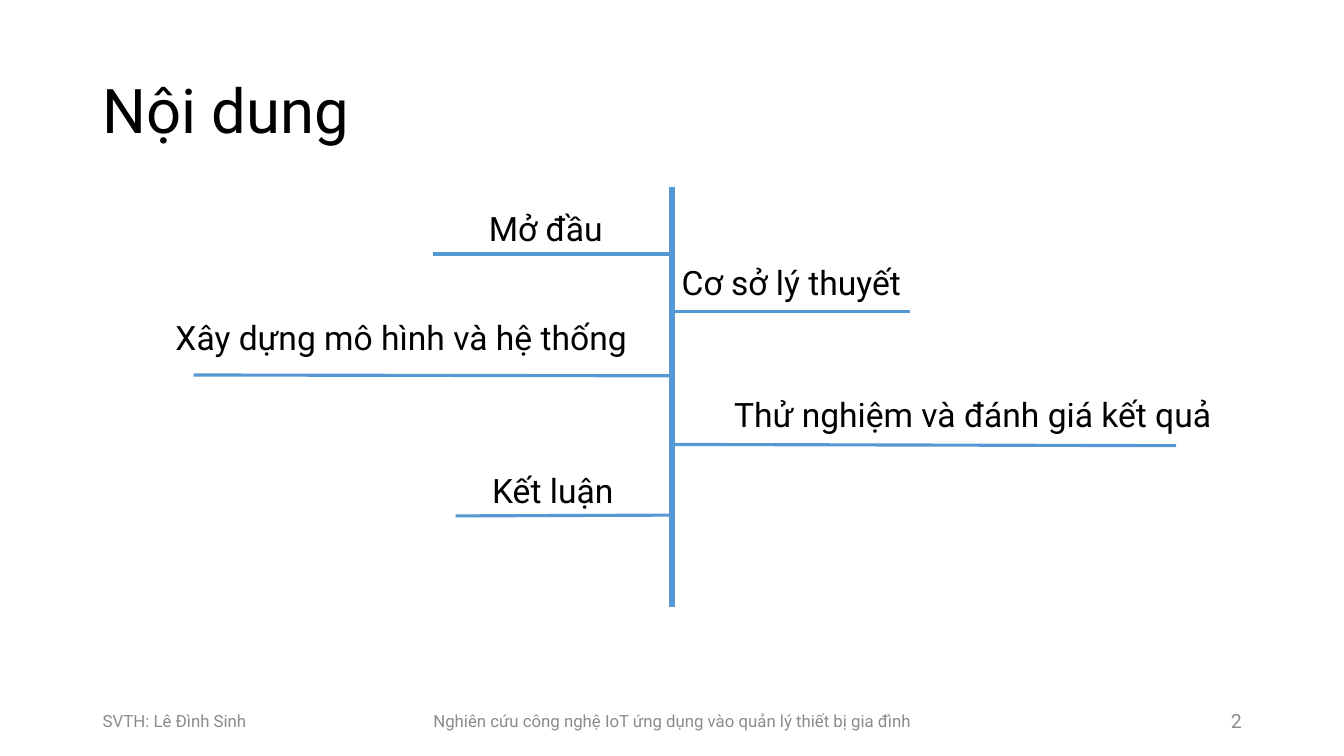
from lxml.etree import SubElement
from pptx import Presentation
from pptx.dml.color import RGBColor
from pptx.enum.shapes import MSO_CONNECTOR as Connector
from pptx.enum.text import MSO_ANCHOR as Anchor, PP_ALIGN as Align
from pptx.oxml.ns import qn
from pptx.util import Cm, Pt

BLACK = RGBColor(0x00, 0x00, 0x00)
GRAY = RGBColor(0x8B, 0x8B, 0x8B)
BLUE = RGBColor(0x56, 0x98, 0xD3)

MARGIN = 2.34
TRUNK_X = 16.93
LABEL_HEIGHT = 1.28

# label, box left, top, width, alignment, branch tip x, y at trunk, y at tip
BRANCHES = [
    ("Mở đầu", 12.07, 5.11, 3.71, Align.LEFT, 10.92, 6.4, 6.4),
    ("Cơ sở lý thuyết", TRUNK_X, 6.48, 7.62, Align.LEFT, 22.94, 7.85, 7.85),
    ("Xây dựng mô hình và hệ thống", 3.2, 7.85, 13.82, Align.CENTER, 4.88, 9.47, 9.45),
    ("Thử nghiệm và đánh giá kết quả", 17.02, 9.8, 14.99, Align.CENTER, 29.64, 11.2, 11.23),
    ("Kết luận", 7.44, 11.71, 12.98, Align.CENTER, 11.48, 12.98, 13.0),
]

# text, width, alignment, size; placed side by side from the margin
FOOTERS = [
    ("SVTH: Lê Đình Sinh", 7.62, Align.LEFT, 12),
    ("Nghiên cứu công nghệ IoT ứng dụng vào quản lý thiết bị gia đình",
     13.97, Align.CENTER, 12),
    ("2", 7.62, Align.RIGHT, 14),
]


class OutlinePage:
    font_name = "Roboto"

    def __init__(self, deck):
        self.page = deck.slides.add_slide(deck.slide_layouts[6])

    def text(self, words, left, top, width, height, size, color=BLACK,
             align=Align.LEFT, anchor=Anchor.TOP, spacing=None):
        box = self.page.shapes.add_textbox(Cm(left), Cm(top), Cm(width), Cm(height))
        frame = box.text_frame
        frame.word_wrap = True
        frame.vertical_anchor = anchor
        para = frame.paragraphs[0]
        para.text = words
        para.alignment = align
        para.line_spacing = spacing
        para.font.name = self.font_name
        para.font.size = Pt(size)
        para.font.color.rgb = color

    def line(self, start_x, start_y, end_x, end_y, weight):
        line = self.page.shapes.add_connector(
            Connector.STRAIGHT, Cm(start_x), Cm(start_y), Cm(end_x), Cm(end_y))
        line.line.color.rgb = BLUE
        line.line.width = Pt(weight)
        SubElement(line._element.spPr, qn("a:effectLst"))


def main():
    deck = Presentation()
    deck.slide_width, deck.slide_height = Cm(33.87), Cm(19.05)
    outline = OutlinePage(deck)

    outline.text("Nội dung", MARGIN, 1.01, 29.21, 3.68, 44,
                 anchor=Anchor.MIDDLE, spacing=0.9)

    left = MARGIN
    for words, width, align, size in FOOTERS:
        outline.text(words, left, 17.66, width, 1.01, size, GRAY, align, Anchor.MIDDLE)
        left += width

    outline.line(TRUNK_X + 0.01, 4.7, TRUNK_X + 0.01, 15.29, 4.5)
    for words, left, top, width, align, tip_x, trunk_y, tip_y in BRANCHES:
        outline.line(TRUNK_X, trunk_y, tip_x, tip_y, 2.25)
        outline.text(words, left, top, width, LABEL_HEIGHT, 24, align=align)

    deck.save("out.pptx")


if __name__ == "__main__":
    main()
